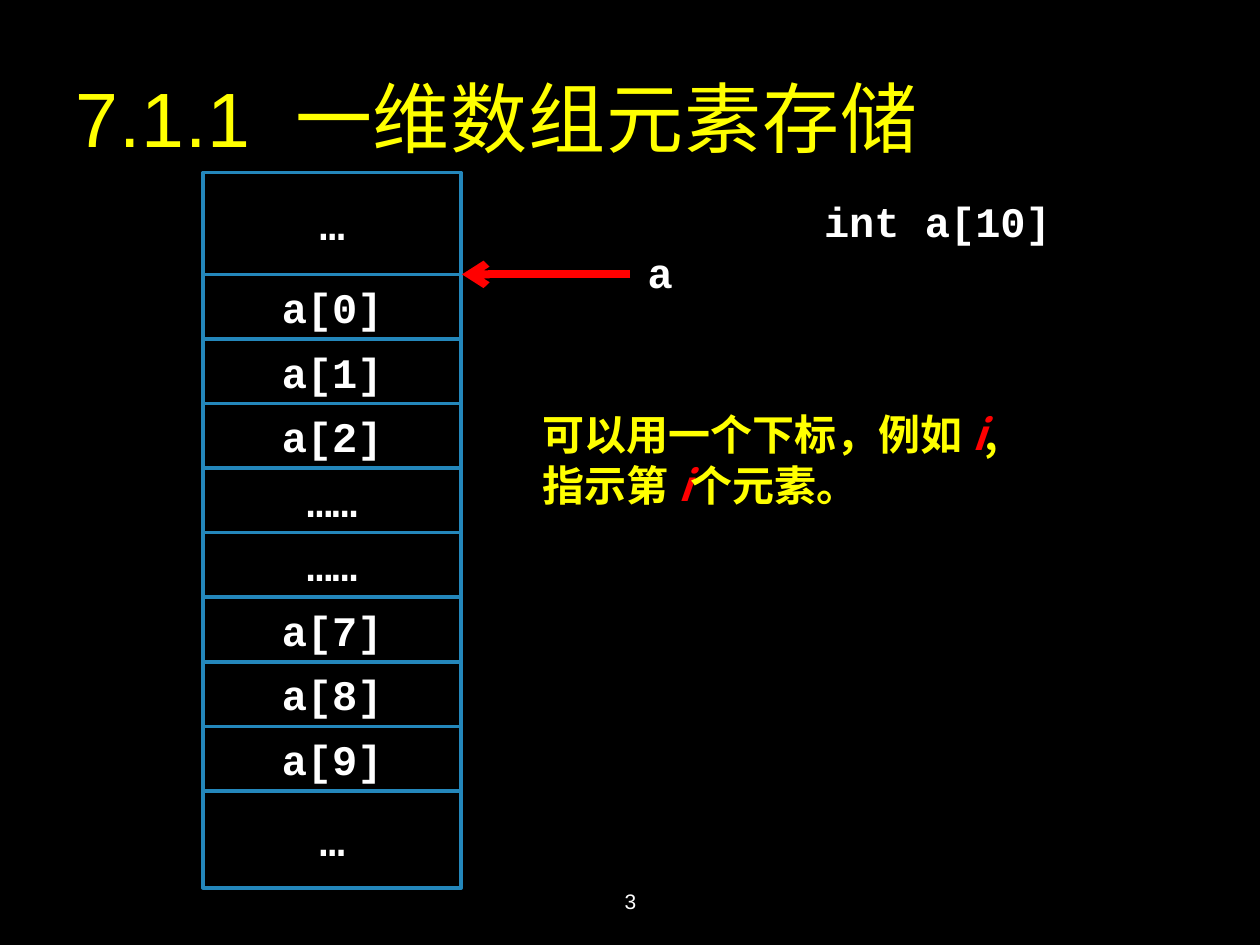
"""Builds a slide on how the elements of a one-dimensional array are stored."""
from lxml import etree
from pptx import Presentation
from pptx.dml.color import RGBColor
from pptx.enum.shapes import MSO_CONNECTOR, MSO_SHAPE
from pptx.enum.text import MSO_ANCHOR, PP_ALIGN
from pptx.oxml.ns import qn
from pptx.util import Pt

RECTANGLE = MSO_SHAPE.RECTANGLE
STRAIGHT = MSO_CONNECTOR.STRAIGHT
MIDDLE, TOP = MSO_ANCHOR.MIDDLE, MSO_ANCHOR.TOP
LEFT, CENTER = PP_ALIGN.LEFT, PP_ALIGN.CENTER

BLACK, WHITE, YELLOW, RED, BLUE = "000000", "FFFFFF", "FFFF00", "FF0000", "2487BB"
SANS, CODE, CHINESE = "Arial", "Courier New", "Noto Sans CJK SC"

TITLE = ["7.1.1", " ", "一维数组元素存储"]
TITLE_SPACING = [50, 1270, 50]
CELLS = ["…", "a[0]", "a[1]", "a[2]", "……", "……", "a[7]", "a[8]", "a[9]", "…"]
DECLARATION = [["int a[10]"], ["a"]]
EXPLANATION = [["可以用一个下标，例如 ", "i", ","], ["指示第 ", "i", "个元素。"]]
INDEX = "i"
PAGE_NUMBER = [["3"]]

MEMORY_LEFT, MEMORY_TOP, MEMORY_WIDTH = 116, 98.6, 147.6
ELEMENT_HEIGHT, FIRST_HEIGHT, LAST_HEIGHT = 36.9, 58.2, 55.4
ARROW_START, ARROW_END = 360, 264
CODE_LINE, DECLARATION_INDENT = 29, 100.8


def rgb(color):
    return RGBColor.from_string(color)


def style(paragraph, size, face, color, bold=False, align=LEFT):
    paragraph.alignment = align
    font = paragraph.font
    font.size, font.name, font.bold = Pt(size), face, bold
    font.color.rgb = rgb(color)
    east_asian = etree.SubElement(paragraph._p.pPr.find(qn("a:defRPr")), qn("a:ea"))
    east_asian.set("typeface", CHINESE)


def write(frame, lines, size, face, color, bold=False, align=LEFT, anchor=TOP):
    frame.word_wrap = True
    frame.vertical_anchor = anchor
    for number, pieces in enumerate(lines):
        paragraph = frame.add_paragraph() if number else frame.paragraphs[0]
        for piece in pieces:
            run = paragraph.add_run()
            run.text = piece
            if piece == INDEX:
                run.font.italic = True
                run.font.color.rgb = rgb(RED)
        style(paragraph, size, face, color, bold, align)


def add_text(slide, box, lines, *format_args, **format_options):
    frame = slide.shapes.add_textbox(*map(Pt, box)).text_frame
    write(frame, lines, *format_args, **format_options)
    return frame


def add_title(slide):
    title = slide.shapes.title
    title.left, title.top, title.width, title.height = map(Pt, (36, 21.6, 612, 90))
    write(title.text_frame, [TITLE], 44, SANS, YELLOW, anchor=MIDDLE)
    for run, spacing in zip(title.text_frame.paragraphs[0].runs, TITLE_SPACING):
        run._r.get_or_add_rPr().set("spc", str(spacing))


def add_memory(slide):
    memory = slide.shapes.add_group_shape()
    heights = [FIRST_HEIGHT] + [ELEMENT_HEIGHT] * (len(CELLS) - 2) + [LAST_HEIGHT]
    top = MEMORY_TOP
    for label, height in zip(CELLS, heights):
        box = map(Pt, (MEMORY_LEFT, top, MEMORY_WIDTH, height))
        cell = memory.shapes.add_shape(RECTANGLE, *box)
        cell.shadow.inherit = False
        cell.fill.background()
        cell.line.color.rgb = rgb(BLUE)
        cell.line.width = Pt(2)
        write(cell.text_frame, [[label]], 24, CODE, WHITE, True, CENTER, MIDDLE)
        top += height


def add_address_arrow(slide):
    level = Pt(MEMORY_TOP + FIRST_HEIGHT)
    arrow = slide.shapes.add_connector(
        STRAIGHT, Pt(ARROW_START), level, Pt(ARROW_END), level)
    arrow.line.color.rgb = rgb(RED)
    arrow.line.width = Pt(4.5)
    properties = arrow._element.spPr
    etree.SubElement(properties.find(qn("a:ln")), qn("a:tailEnd")).set("type", "arrow")
    etree.SubElement(properties, qn("a:effectLst"))


def main():
    presentation = Presentation()
    presentation.slide_width, presentation.slide_height = Pt(720), Pt(540)
    slide = presentation.slides.add_slide(presentation.slide_layouts[5])
    slide.background.fill.solid()
    slide.background.fill.fore_color.rgb = rgb(BLACK)

    add_title(slide)
    add_text(slide, (246.2, 500.4, 228.2, 28.8), PAGE_NUMBER, 12, SANS, WHITE,
             align=CENTER, anchor=MIDDLE)
    add_memory(slide)
    declaration = add_text(slide, (363, 108, 247, 65.5), DECLARATION,
                           24, CODE, WHITE, True)
    indent = str(Pt(DECLARATION_INDENT))
    declaration.paragraphs[0]._p.pPr.set("indent", indent)
    add_address_arrow(slide)
    explanation = add_text(slide, (303, 229.7, 287.3, 65.5), EXPLANATION,
                           24, CHINESE, YELLOW, True)
    for paragraph in declaration.paragraphs + explanation.paragraphs:
        paragraph.line_spacing = Pt(CODE_LINE)

    presentation.save("out.pptx")


if __name__ == "__main__":
    main()
